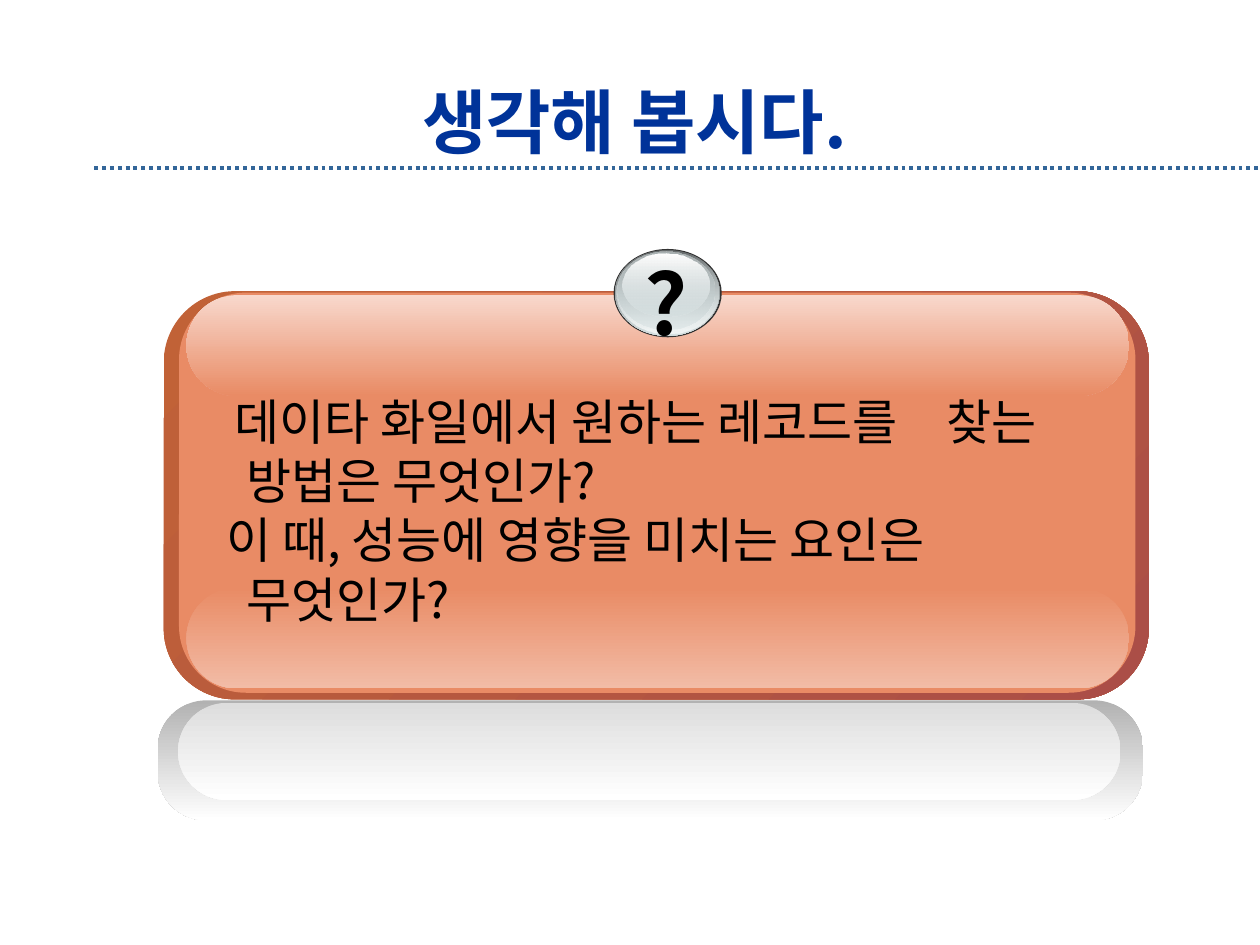
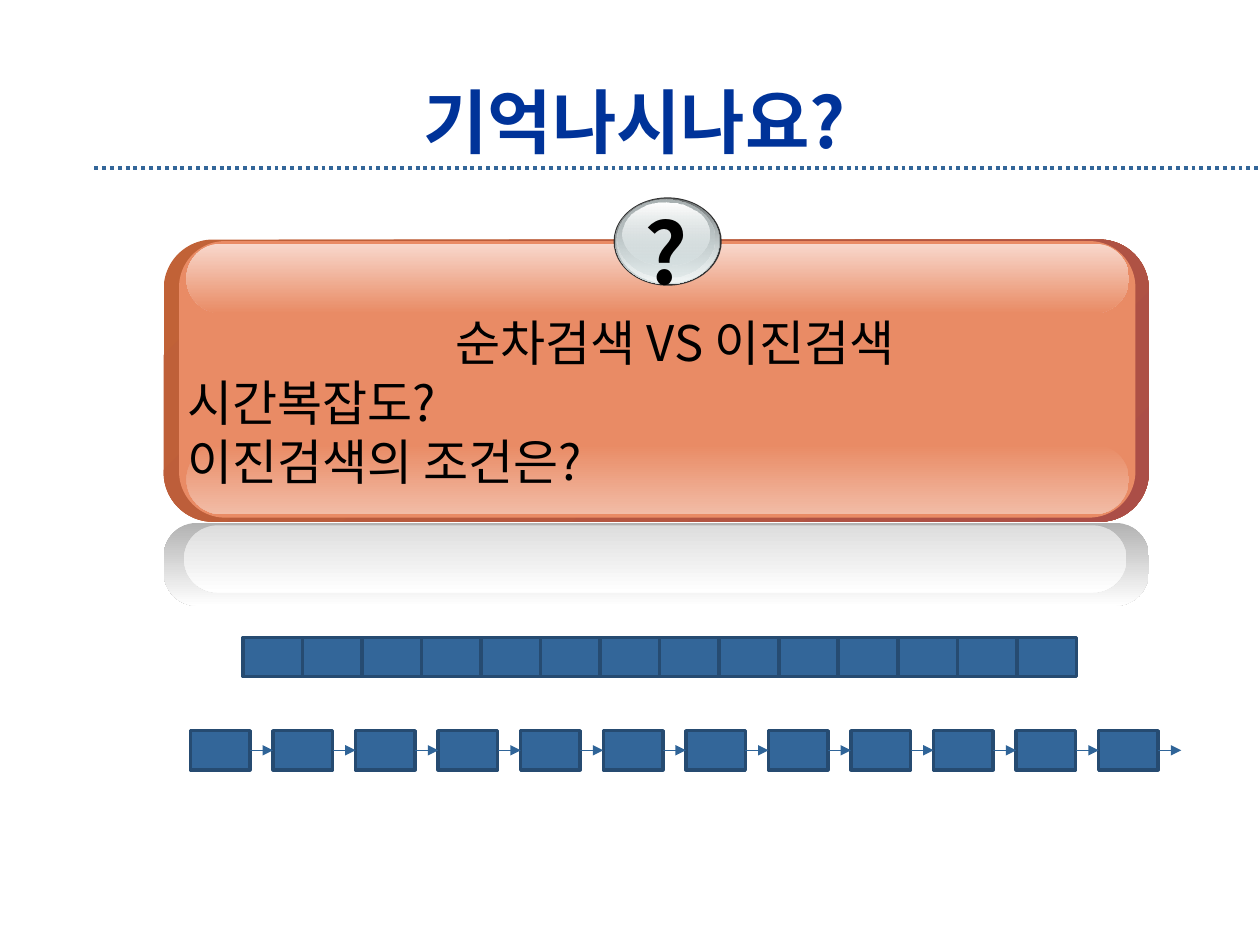
from pptx import Presentation
from pptx import util as u
from pptx.dml.color import RGBColor
from pptx.enum import dml, shapes, text
from pptx.oxml import ns, xmlchemy

FONT = "Noto Sans CJK KR"
BLACK = RGBColor(0x00, 0x00, 0x00)
WHITE = RGBColor(0xFF, 0xFF, 0xFF)
TITLE_BLUE = RGBColor(0x00, 0x33, 0x99)
CELL_BLUE = RGBColor(0x33, 0x66, 0x99)
CELL_EDGE = RGBColor(0x26, 0x4B, 0x71)
ARROW_BLUE = RGBColor(0x2F, 0x64, 0x98)
RIM_LIGHT = RGBColor(0xC1, 0x62, 0x37)
RIM_DARK = RGBColor(0xAB, 0x4E, 0x47)
ORANGE = RGBColor(0xE9, 0x8B, 0x65)
GLOSS_LOW = RGBColor(0xF2, 0xBC, 0xA6)
GLOSS_HIGH = RGBColor(0xF8, 0xD8, 0xCC)
SHADE_OUTER = RGBColor(0xB2, 0xB2, 0xB2)
SHADE_INNER = RGBColor(0xDD, 0xDD, 0xDD)
BADGE_EDGE = RGBColor(0x33, 0x33, 0x33)
BADGE_DARK = RGBColor(0x63, 0x68, 0x69)
BADGE_MID = RGBColor(0xAA, 0xB2, 0xB3)
BADGE_PALE = RGBColor(0xD6, 0xE1, 0xE2)
BADGE_LIGHT = RGBColor(0xF1, 0xF5, 0xF5)

RECT = shapes.MSO_SHAPE.RECTANGLE
ROUNDED = shapes.MSO_SHAPE.ROUNDED_RECTANGLE
OVAL = shapes.MSO_SHAPE.OVAL
LEFT, CENTER = text.PP_ALIGN.LEFT, text.PP_ALIGN.CENTER

# Badge rings: left, offset from badge top, width, height, colours, opacities in %
BADGE_RINGS = [
    (12.37, 0, 2.18, 1.78, [BADGE_EDGE], ()),
    (12.4, 0.02, 2.11, 1.73, [BADGE_DARK, BADGE_PALE], ()),
    (12.42, 0.03, 2.06, 1.68, [BADGE_PALE, BADGE_LIGHT], (0, 100)),
    (12.45, 0.05, 1.96, 1.57, [BADGE_MID, BADGE_PALE], (100, 48)),
    (12.55, 0.1, 1.75, 1.27, [WHITE, BADGE_PALE], (100, 38)),
]
CELL_W, CELL_H = 1.2, 0.79


def set_all(target, values):
    for name, value in values.items():
        setattr(target, name, value)


def cm(*lengths):
    return [u.Cm(length) for length in lengths]


# Basic elements
def add_filled(slide, kind, box, colors, opacities=(), angle=90, corner=None):
    """One colour gives a solid fill, two give a gradient turned clockwise."""
    shape = slide.shapes.add_shape(kind, *cm(*box))
    shape.shadow.inherit = False
    shape.line.fill.background()
    if corner is not None:
        shape.adjustments[0] = corner
    if len(colors) == 1:
        shape.fill.solid()
        shape.fill.fore_color.rgb = colors[0]
        return shape
    shape.fill.gradient()
    shape.fill.gradient_angle = 360 - angle
    for stop, color in zip(shape.fill.gradient_stops, colors):
        stop.color.rgb = color
    stop_colors = shape._element.spPr.findall(".//" + ns.qn("a:srgbClr"))
    for stop_color, opacity in zip(stop_colors, opacities):
        if opacity < 100:
            alpha = xmlchemy.OxmlElement("a:alpha")
            alpha.set("val", str(opacity * 1000))
            stop_color.append(alpha)
    return shape


def add_line(slide, start, end, color, width, dash=None, arrow=False):
    line = slide.shapes.add_connector(
        shapes.MSO_CONNECTOR.STRAIGHT, *cm(*start, *end))
    line.line.color.rgb = color
    line.line.width = u.Pt(width)
    if dash:
        line.line.dash_style = dash
    if arrow:
        head = xmlchemy.OxmlElement("a:tailEnd")
        head.set("type", "triangle")
        line.line._get_or_add_ln().append(head)
    line._element.spPr.append(xmlchemy.OxmlElement("a:effectLst"))
    return line


def add_run(paragraph, words, size, color=BLACK, bold=False, spacing=0):
    run = paragraph.add_run()
    run.text = words
    set_all(run.font, {"size": u.Pt(size), "bold": bold, "name": FONT})
    run.font.color.rgb = color
    properties = run._r.get_or_add_rPr()
    if spacing:
        properties.set("spc", str(spacing * 100))
    east_asian = xmlchemy.OxmlElement("a:ea")
    east_asian.set("typeface", FONT)
    properties.append(east_asian)


def add_text(slide, box, frame_format):
    frame = slide.shapes.add_textbox(*cm(*box)).text_frame
    set_all(frame, {"word_wrap": True, **frame_format})
    return frame


# Parts shared by both slides
def add_title(slide, words):
    add_line(slide, (1.9, 3.38), (25.4, 3.38), CELL_BLUE, 2.25,
             dash=dml.MSO_LINE.ROUND_DOT)
    frame = add_text(slide, (1.9, 1.7, 21.79, 1.47),
                     {"vertical_anchor": text.MSO_ANCHOR.MIDDLE})
    frame.paragraphs[0].alignment = CENTER
    add_run(frame.paragraphs[0], words, 40, TITLE_BLUE, bold=True)


def add_card(slide, top, height):
    gloss_h = height * 0.247
    add_filled(slide, ROUNDED, (3.3, top, 19.86, height),
               [RIM_LIGHT, RIM_DARK], angle=45, corner=0.175)
    add_filled(slide, ROUNDED, (3.61, top + 0.03, 19.28, height * 0.98),
               [ORANGE], corner=0.167)
    add_filled(slide, ROUNDED, (3.76, top + height * 0.726, 19, gloss_h),
               [ORANGE, GLOSS_LOW], corner=0.5)
    add_filled(slide, ROUNDED, (3.76, top + 0.08, 19, gloss_h),
               [GLOSS_HIGH, ORANGE], corner=0.5)


def add_reflection(slide, left, top, card_height):
    height = card_height * 0.294
    add_filled(slide, ROUNDED, (left, top, 19.86, height),
               [SHADE_OUTER, WHITE], corner=0.404)
    add_filled(slide, ROUNDED, (left + 0.41, top + 0.05, 19, height * 0.81),
               [SHADE_INNER, WHITE], corner=0.5)


def add_badge(slide, top):
    for left, offset, width, height, colors, opacities in BADGE_RINGS:
        add_filled(slide, OVAL, (left, top + offset, width, height),
                   colors, opacities)
    frame = add_text(slide, (12.7, top - 0.23, 1.47, 2.31),
                     {"word_wrap": False, "margin_top": u.Cm(0.27)})
    set_all(frame.paragraphs[0],
            {"alignment": CENTER, "line_spacing": u.Pt(58)})
    add_run(frame.paragraphs[0], "?", 48, bold=True)


def add_questions(slide, top, height, questions):
    """Each question is its first-line indent and its (words, spacing) runs."""
    frame = add_text(slide, (3.3, top, 19, height), {"margin_top": u.Cm(0.3)})
    for number, (indent, runs) in enumerate(questions):
        paragraph = frame.add_paragraph() if number else frame.paragraphs[0]
        set_all(paragraph, {"alignment": LEFT, "line_spacing": u.Pt(34)})
        properties = paragraph._p.get_or_add_pPr()
        properties.set("marL", str(u.Cm(1.42)))
        properties.set("indent", str(u.Cm(indent)))
        for words, spacing in runs:
            add_run(paragraph, words, 28, spacing=spacing)


def add_question_slide(deck, title, card_top, card_height, reflection_left,
                       text_top, text_height, questions):
    slide = deck.slides.add_slide(deck.slide_layouts[6])
    add_title(slide, title)
    add_card(slide, card_top, card_height)
    add_questions(slide, text_top, text_height, questions)
    add_badge(slide, card_top - 0.85)
    add_reflection(slide, reflection_left, card_top + card_height + 0.02,
                   card_height)
    return slide


# Data structures of the second slide
def add_cell(slide, left, top):
    cell = add_filled(slide, RECT, (left, top, CELL_W, CELL_H), [CELL_BLUE])
    cell.line.color.rgb = CELL_EDGE
    cell.line.width = u.Pt(2)
    return cell


def add_array(slide, left, top, count):
    for index in range(count):
        add_cell(slide, left + index * CELL_W, top)


def add_linked_list(slide, left, last_left, top, count):
    step = (last_left - left) / (count - 1)
    middle = top + CELL_H / 2
    nodes = [add_cell(slide, left + i * step, top) for i in range(count)]
    for index, node in enumerate(nodes):
        node_left = left + index * step
        link = add_line(slide, (node_left + CELL_W, middle),
                        (node_left + step, middle), ARROW_BLUE, 0.75, arrow=True)
        link.begin_connect(node, 3)
        if index + 1 < count:
            link.end_connect(nodes[index + 1], 1)


def main():
    deck = Presentation()
    set_all(deck, {"slide_width": u.Cm(25.4), "slide_height": u.Cm(19.05)})

    # Slide 1: finding a record
    add_question_slide(
        deck, "생각해 봅시다.", 5.87, 8.23, 3.18, 7.57, 6.58,
        [(-0.25, [("데이타 화일에서 원하는 레코드를", 0), (" ", 22),
                  ("찾는 방법은 무엇인가?", 0)]),
         (-0.41, [("이 때, 성능에 영향을 미치는 요인은 무엇인가?", 0)])])

    # Slide 2: sequential and binary search
    search = add_question_slide(
        deck, "기억나시나요?", 4.83, 5.69, 3.3, 5.99, 3.73,
        [(4.22, [("순차검색 VS 이진검색", 0)]),
         (-1.19, [("시간복잡도?", 0)]),
         (-1.19, [("이진검색의 조건은?", 0)])])
    add_array(search, 4.9, 12.85, 14)
    add_linked_list(search, 3.84, 22.15, 14.73, 12)

    deck.save("out.pptx")


if __name__ == "__main__":
    main()
